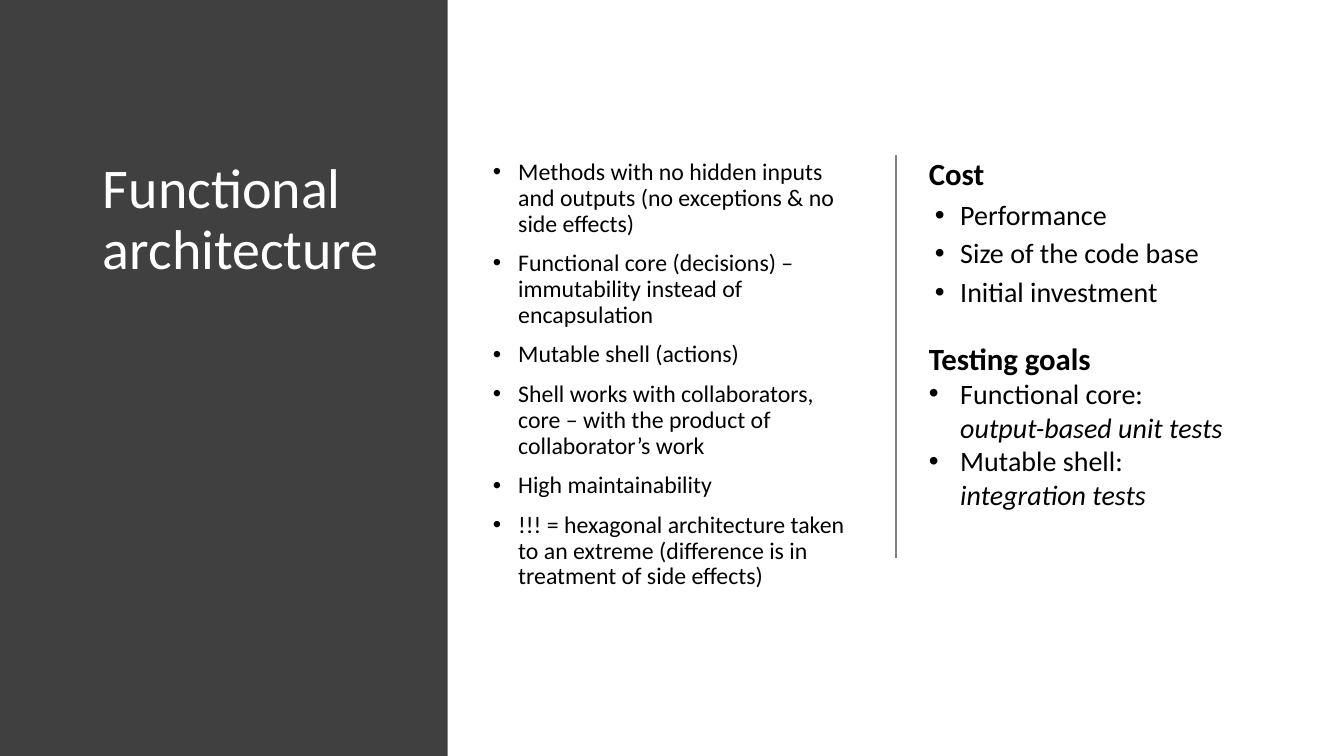
"""Build the slide on functional architecture."""
from dataclasses import dataclass

from lxml import etree
from pptx import Presentation
from pptx.dml.color import RGBColor
from pptx.enum.shapes import MSO_CONNECTOR, MSO_SHAPE
from pptx.enum.text import MSO_ANCHOR, MSO_AUTO_SIZE, PP_ALIGN
from pptx.oxml.ns import qn
from pptx.util import Cm, Pt

RECTANGLE = MSO_SHAPE.RECTANGLE
STRAIGHT = MSO_CONNECTOR.STRAIGHT
TOP = MSO_ANCHOR.TOP
NO_AUTOFIT = MSO_AUTO_SIZE.NONE
LEFT = PP_ALIGN.LEFT
TITLE_ONLY = 5


@dataclass(frozen=True)
class Theme:
    """Colours, font and type sizes of the slide."""
    font: str = "Calibri"
    panel: RGBColor = RGBColor(0x40, 0x40, 0x40)
    title: RGBColor = RGBColor(0xFF, 0xFF, 0xFF)
    ink: RGBColor = RGBColor(0, 0, 0)
    divider: RGBColor = RGBColor(0x80, 0x80, 0x80)
    title_size: int = 40
    heading_size: int = 22
    list_size: int = 20
    trait_size: int = 17


THEME = Theme()
COLUMN_TOP = 3.91
HANGING = 0.64
WIDE_MARGIN = 0.79

TRAITS = [
    "Methods with no hidden inputs and outputs (no exceptions & no side effects)",
    "Functional core (decisions) – immutability instead of encapsulation",
    "Mutable shell (actions)",
    "Shell works with collaborators, core – with the product of collaborator’s work",
    "High maintainability",
    "!!! = hexagonal architecture taken to an extreme "
    "(difference is in treatment of side effects)",
]
COSTS = ["Performance", "Size of the code base", "Initial investment"]
TESTING_GOALS = [
    ("Functional core:", "output-based unit tests"),
    ("Mutable shell:", "integration tests"),
]


def add_run(paragraph, text, size, color=THEME.ink, bold=False, italic=False):
    """Append one formatted run."""
    run = paragraph.add_run()
    run.text = text
    run.font.name = THEME.font
    run.font.size = Pt(size)
    run.font.color.rgb = color
    run.font.bold = bold
    run.font.italic = italic


def place(shape, left, top, width, height):
    """Set a shape's position and size in centimetres."""
    shape.left, shape.top = Cm(left), Cm(top)
    shape.width, shape.height = Cm(width), Cm(height)


def add_column(slide, left, top, width, height):
    """Add a wrapping text box and return its frame."""
    column = slide.shapes.add_textbox(Cm(left), Cm(top), Cm(width), Cm(height))
    column.text_frame.word_wrap = True
    return column.text_frame


def add_paragraph(frame, line_spacing=None, before=0, after=0):
    """Return the empty first paragraph or a new one, with its spacing set."""
    first = frame.paragraphs[0]
    paragraph = frame.add_paragraph() if first.runs else first
    paragraph.line_spacing = line_spacing
    paragraph.space_before = Pt(before)
    paragraph.space_after = Pt(after)
    return paragraph


def set_bullet(paragraph, margin, hanging):
    """Give a paragraph a round bullet with a hanging indent."""
    properties = paragraph._p.get_or_add_pPr()
    properties.set("marL", str(Cm(margin)))
    properties.set("indent", str(-Cm(hanging)))
    etree.SubElement(properties, qn("a:buFont")).set("typeface", "Arial")
    etree.SubElement(properties, qn("a:buChar")).set("char", "•")


def add_panel(slide):
    """Add the dark panel behind the title."""
    panel = slide.shapes.add_shape(RECTANGLE, 0, 0, Cm(11.28), Cm(19.05))
    panel.shadow.inherit = False
    panel.fill.solid()
    panel.fill.fore_color.rgb = THEME.panel
    panel.line.fill.background()
    slide.shapes._spTree.insert(2, panel._element)


def add_title(slide):
    """Place and fill the title."""
    title = slide.shapes.title
    place(title, 2.34, COLUMN_TOP, 8.05, 12.12)
    frame = title.text_frame
    frame.word_wrap = True
    frame.auto_size = NO_AUTOFIT
    frame.vertical_anchor = TOP
    paragraph = add_paragraph(frame, 0.9)
    paragraph.alignment = LEFT
    add_run(paragraph, "Functional architecture", THEME.title_size, THEME.title)


def add_divider(slide):
    """Add the thin vertical line between the columns."""
    x = Cm(22.58)
    divider = slide.shapes.add_connector(
        STRAIGHT, x, Cm(COLUMN_TOP), x, Cm(COLUMN_TOP + 10.16))
    divider.line.color.rgb = THEME.divider
    divider.line.width = Pt(1)
    etree.SubElement(divider._element.spPr, qn("a:effectLst"))


def add_traits(slide):
    """Add the list of traits in the middle column."""
    frame = add_column(slide, 12.17, COLUMN_TOP, 9.53, 12.12)
    for trait in TRAITS:
        paragraph = add_paragraph(frame, 0.9, before=10)
        set_bullet(paragraph, HANGING, HANGING)
        add_run(paragraph, trait, THEME.trait_size)


def add_costs(slide):
    """Add the cost heading and its list."""
    frame = add_column(slide, 23.16, 3.89, 8.89, 4.2)
    heading = add_paragraph(frame, 0.9, after=6)
    add_run(heading, "Cost", THEME.heading_size, bold=True)
    for cost in COSTS:
        paragraph = add_paragraph(frame, 0.9, after=6)
        set_bullet(paragraph, WIDE_MARGIN, HANGING)
        add_run(paragraph, cost, THEME.list_size)


def add_testing_goals(slide):
    """Add the testing goals heading and its list."""
    frame = add_column(slide, 23.16, 8.43, 9.53, 4.62)
    add_run(add_paragraph(frame), "Testing goals", THEME.heading_size, bold=True)
    for part, tests in TESTING_GOALS:
        paragraph = add_paragraph(frame)
        set_bullet(paragraph, WIDE_MARGIN, WIDE_MARGIN)
        add_run(paragraph, part, THEME.list_size)
        paragraph.add_line_break()
        add_run(paragraph, tests, THEME.list_size, italic=True)


def main():
    """Assemble and save the slide."""
    deck = Presentation()
    deck.slide_width, deck.slide_height = Cm(33.87), Cm(19.05)
    slide = deck.slides.add_slide(deck.slide_layouts[TITLE_ONLY])
    add_panel(slide)
    add_title(slide)
    add_traits(slide)
    add_divider(slide)
    add_costs(slide)
    add_testing_goals(slide)
    deck.save("out.pptx")


if __name__ == "__main__":
    main()
